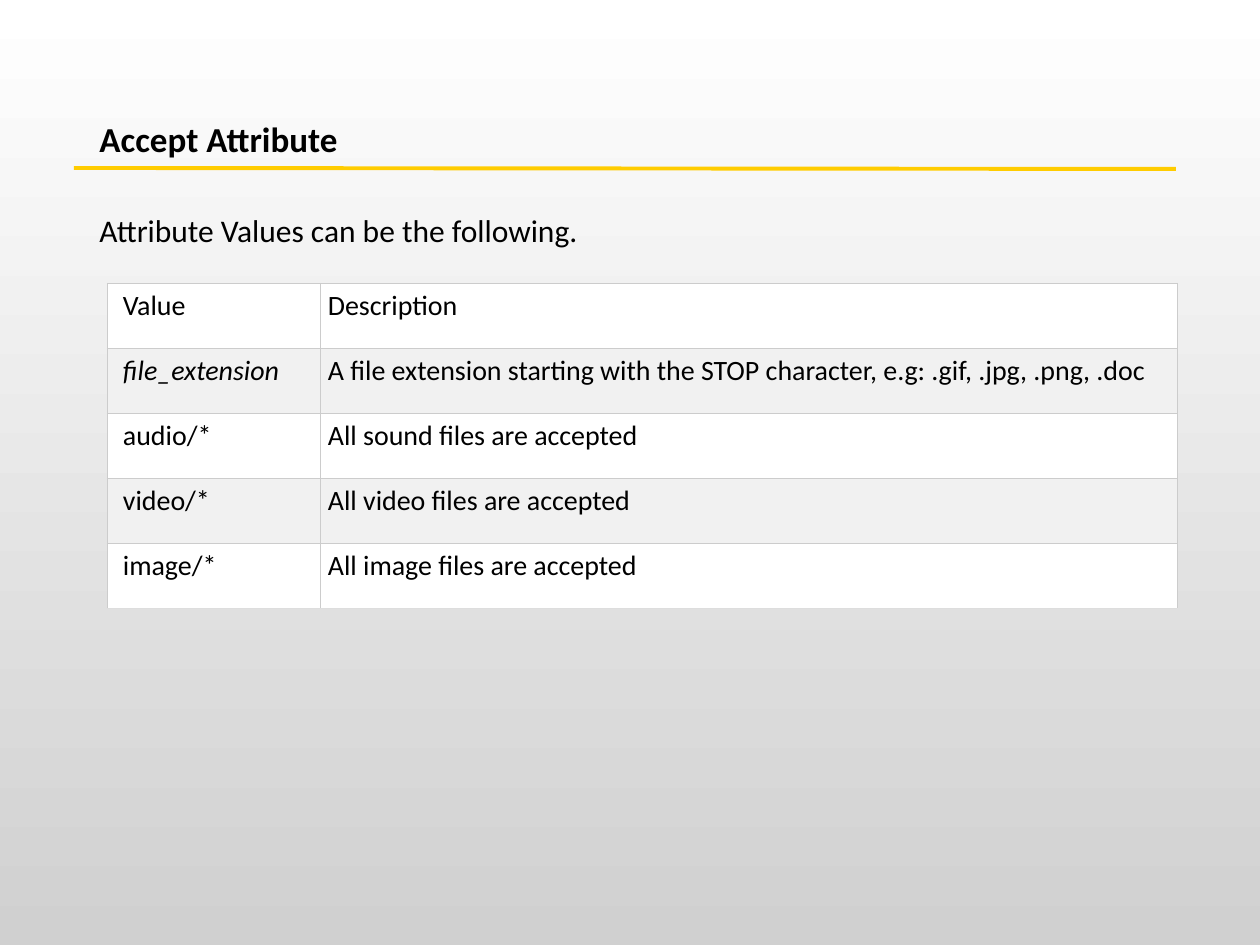
from dataclasses import dataclass

from lxml.etree import SubElement
from pptx import Presentation
from pptx.dml.color import RGBColor as RGB
from pptx.enum.shapes import MSO_CONNECTOR as CONNECTOR
from pptx.enum.text import MSO_ANCHOR as ANCHOR
from pptx.oxml.ns import qn
from pptx.util import Emu, Pt

EMU_PER_PX = 914400 / 126


@dataclass(frozen=True)
class Theme:
    font: str = "Calibri"
    ink: str = "000000"
    sky: str = "FFFFFF"
    ground: str = "D0D0D0"
    accent: str = "FFCC00"
    row_fills: tuple = ("FFFFFF", "F1F1F1")
    border: str = "CCCCCC"
    last_border: str = "DDDDDD"
    title_size: int = 20
    body_size: int = 18
    table_size: int = 16
    rule_width: float = 2.25
    border_width: float = 0.34


THEME = Theme()

ROWS = [
    ("Value", "Description"),
    ("file_extension", "A file extension starting with the STOP character, e.g: .gif, .jpg, .png, .doc"),
    ("audio/*", "All sound files are accepted"),
    ("video/*", "All video files are accepted"),
    ("image/*", "All image files are accepted"),
]


def px(length):
    return Emu(round(length * EMU_PER_PX))


def paint_background(slide):
    fill = slide.background.fill
    fill.gradient()
    fill.gradient_angle = 270
    for stop, position, color in zip(fill.gradient_stops, (0, 1), (THEME.sky, THEME.ground)):
        stop.position = position
        stop.color.rgb = RGB.from_string(color)


def add_run(paragraph, text, size, bold=False, italic=False):
    run = paragraph.add_run()
    run.text = text
    run.font.name = THEME.font
    run.font.size = Pt(size)
    run.font.bold = bold
    run.font.italic = italic
    run.font.color.rgb = RGB.from_string(THEME.ink)


def add_text(slide, box, text, size, anchor=ANCHOR.TOP, bold=False, space_before=0):
    frame = slide.shapes.add_textbox(*map(px, box)).text_frame
    frame.word_wrap = True
    frame.vertical_anchor = anchor
    paragraph = frame.paragraphs[0]
    paragraph.line_spacing = 0.9
    paragraph.space_before = Pt(space_before)
    add_run(paragraph, text, size, bold)


def add_rule(slide, start, end):
    rule = slide.shapes.add_connector(CONNECTOR.STRAIGHT, *map(px, start + end))
    rule.line.color.rgb = RGB.from_string(THEME.accent)
    rule.line.width = Pt(THEME.rule_width)
    SubElement(rule._element.spPr, qn("a:effectLst"))


def set_borders(cell, bottom_color):
    properties = cell._tc.get_or_add_tcPr()
    sides = {"lnL": THEME.border, "lnR": THEME.border, "lnT": THEME.border, "lnB": bottom_color}
    for index, (side, color) in enumerate(sides.items()):
        border = properties.makeelement(qn(f"a:{side}"), {"w": str(Pt(THEME.border_width))})
        solid = SubElement(border, qn("a:solidFill"))
        SubElement(solid, qn("a:srgbClr"), val=color)
        properties.insert(index, border)


def add_value_table(slide, left, top, column_widths, row_height):
    size = (sum(column_widths), row_height * len(ROWS))
    table = slide.shapes.add_table(
        len(ROWS), len(column_widths), *map(px, (left, top) + size)
    ).table
    table.first_row = False
    table.horz_banding = False
    for column, width in zip(table.columns, column_widths):
        column.width = px(width)
    for row_index, texts in enumerate(ROWS):
        table.rows[row_index].height = px(row_height)
        is_last = row_index == len(ROWS) - 1
        for column_index, text in enumerate(texts):
            cell = table.cell(row_index, column_index)
            cell.margin_left = px(8 if column_index else 16)
            cell.margin_right = px(8)
            cell.margin_top = cell.margin_bottom = px(6)
            cell.fill.solid()
            cell.fill.fore_color.rgb = RGB.from_string(THEME.row_fills[row_index % 2])
            set_borders(cell, THEME.last_border if is_last else THEME.border)
            add_run(cell.text_frame.paragraphs[0], text, THEME.table_size,
                    italic=text == "file_extension")


def main():
    deck = Presentation()
    deck.slide_width, deck.slide_height = px(1260), px(945)
    slide = deck.slides.add_slide(deck.slide_layouts[6])
    paint_background(slide)
    add_text(slide, (87, 50, 1087, 183), "Accept Attribute", THEME.title_size,
             anchor=ANCHOR.MIDDLE, bold=True)
    add_text(slide, (87, 209, 1110, 704), "Attribute Values can be the following.",
             THEME.body_size, space_before=7.5)
    add_rule(slide, (74, 168), (1176, 169))
    add_value_table(slide, 107, 283, (213, 857), 65)
    deck.save("out.pptx")


if __name__ == "__main__":
    main()
